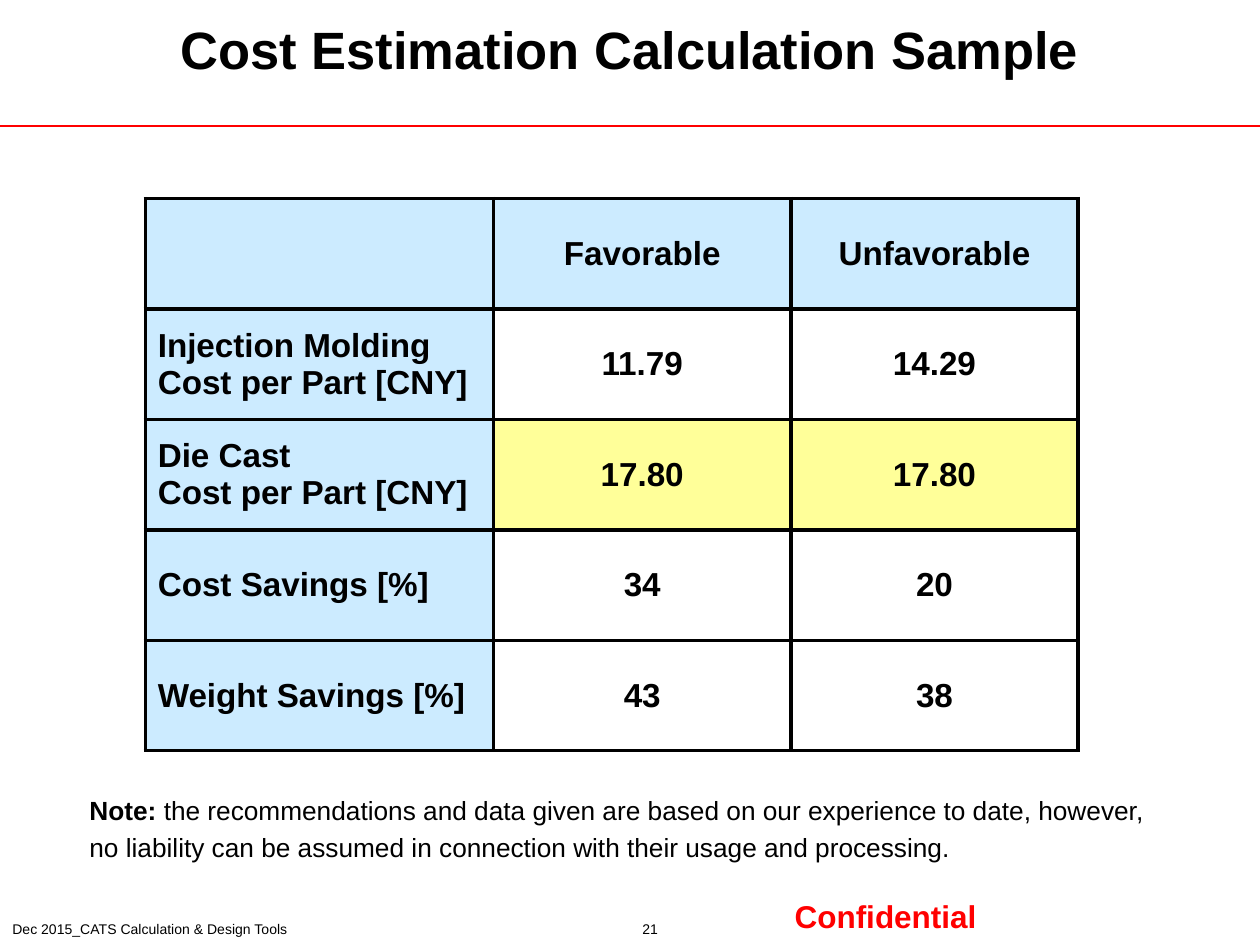
import pptx
import pptx.dml.color
import pptx.enum.shapes
import pptx.enum.text
import pptx.oxml
import pptx.oxml.ns
import pptx.util
from dataclasses import dataclass

Pt = pptx.util.Pt
Align = pptx.enum.text.PP_ALIGN
Anchor = pptx.enum.text.MSO_ANCHOR


@dataclass(frozen=True)
class Theme:
    font: str = "Arial"
    ink: str = "000000"
    accent: str = "FF0000"
    label_fill: str = "CCEBFF"
    highlight_fill: str = "FFFF99"
    plain_fill: str = "FFFFFF"
    title_size: float = 30
    table_size: float = 19
    mark_size: float = 18
    note_size: float = 15
    footer_size: float = 8


theme = Theme()


def color(code):
    return pptx.dml.color.RGBColor.from_string(code)


def style(frame, size, bold=False, ink=theme.ink):
    for paragraph in frame.paragraphs:
        for span in paragraph.runs:
            span.font.name = theme.font
            span.font.size = Pt(size)
            span.font.bold = bold
            span.font.color.rgb = color(ink)


deck = pptx.Presentation()
deck.slide_width, deck.slide_height = Pt(720), Pt(540)
page = deck.slides.add_slide(deck.slide_layouts[5])

# Title and the rule below it
title = page.shapes.title
title.left, title.top, title.width, title.height = Pt(0), Pt(10), Pt(720), Pt(36)
title.text_frame.text = "Cost Estimation Calculation Sample"
title.text_frame.vertical_anchor = Anchor.MIDDLE
title.text_frame.paragraphs[0].alignment = Align.CENTER
style(title.text_frame, theme.title_size, bold=True)

rule = page.shapes.add_connector(
    pptx.enum.shapes.MSO_CONNECTOR.STRAIGHT, Pt(0), Pt(72), Pt(720), Pt(72))
rule.line.color.rgb = color(theme.accent)
rule.line.width = Pt(1.25)
rule._element.spPr.append(pptx.oxml.parse_xml(
    f"<a:effectLst {pptx.oxml.ns.nsdecls('a')}/>"))

# Cost table
rows = [
    ("", "Favorable", "Unfavorable"),
    ("Injection Molding\nCost per Part [CNY]", "11.79", "14.29"),
    ("Die Cast\nCost per Part [CNY]", "17.80", "17.80"),
    ("Cost Savings [%]", "34", "20"),
    ("Weight Savings [%]", "43", "38"),
]
column_widths = [199, 170, 164]
row_height = 63.1
highlight_row = 2

table = page.shapes.add_table(
    len(rows), len(column_widths), Pt(83), Pt(113.5),
    Pt(sum(column_widths)), Pt(row_height * len(rows))).table
for column, width in zip(table.columns, column_widths):
    column.width = Pt(width)
for row in table.rows:
    row.height = Pt(row_height)

for r, values in enumerate(rows):
    for c, value in enumerate(values):
        cell = table.cell(r, c)
        cell.text_frame.text = value
        cell.vertical_anchor = Anchor.MIDDLE
        for paragraph in cell.text_frame.paragraphs:
            paragraph.alignment = Align.LEFT if c == 0 else Align.CENTER
        style(cell.text_frame, theme.table_size, bold=True)

        if r == 0 or c == 0:
            fill = theme.label_fill
        elif r == highlight_row:
            fill = theme.highlight_fill
        else:
            fill = theme.plain_fill
        cell.fill.solid()
        cell.fill.fore_color.rgb = color(fill)

        properties = cell._tc.get_or_add_tcPr()
        for position, side in enumerate(("lnL", "lnR", "lnT", "lnB")):
            properties.insert(position, pptx.oxml.parse_xml(
                f"<a:{side} {pptx.oxml.ns.nsdecls('a')} w='{Pt(2.25)}'>"
                f"<a:solidFill><a:srgbClr val='{theme.ink}'/></a:solidFill>"
                f"</a:{side}>"))

# Note below the table
note = page.shapes.add_textbox(Pt(44), Pt(447.5), Pt(633), Pt(50))
note.text_frame.word_wrap = True
paragraph = note.text_frame.paragraphs[0]
paragraph.line_spacing = Pt(21)
for text in (
    "Note: ",
    "the recommendations and data given are based on our experience to date, "
    "however, no liability can be assumed in connection with their usage and "
    "processing.",
):
    paragraph.add_run().text = text
style(note.text_frame, theme.note_size)
paragraph.runs[0].font.bold = True

# Footer: document name and page number, then the confidentiality mark
footer = page.shapes.add_textbox(Pt(0), Pt(522.5), Pt(388), Pt(17))
footer.text_frame.word_wrap = False
paragraph = footer.text_frame.paragraphs[0]
paragraph.text = "Dec 2015_CATS Calculation & Design Tools\t21"
paragraph._p.get_or_add_pPr().append(pptx.oxml.parse_xml(
    f"<a:tabLst {pptx.oxml.ns.nsdecls('a')}>"
    f"<a:tab pos='{Pt(360)}' algn='l'/></a:tabLst>"))
style(footer.text_frame, theme.footer_size)

mark = page.shapes.add_textbox(Pt(447), Pt(509), Pt(120), Pt(29))
mark.text_frame.word_wrap = False
mark.text_frame.text = "Confidential"
style(mark.text_frame, theme.mark_size, bold=True, ink=theme.accent)

deck.save("out.pptx")
